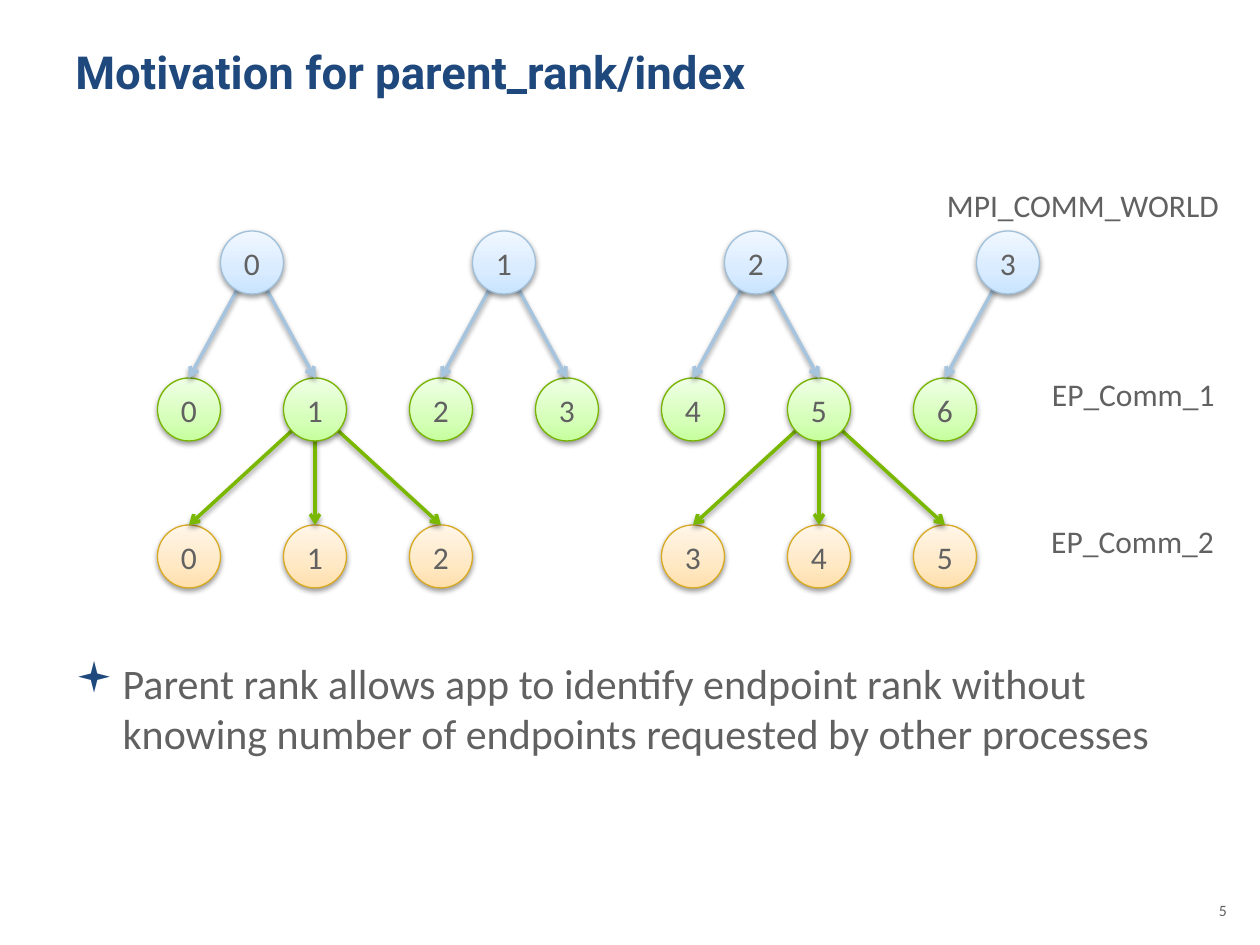
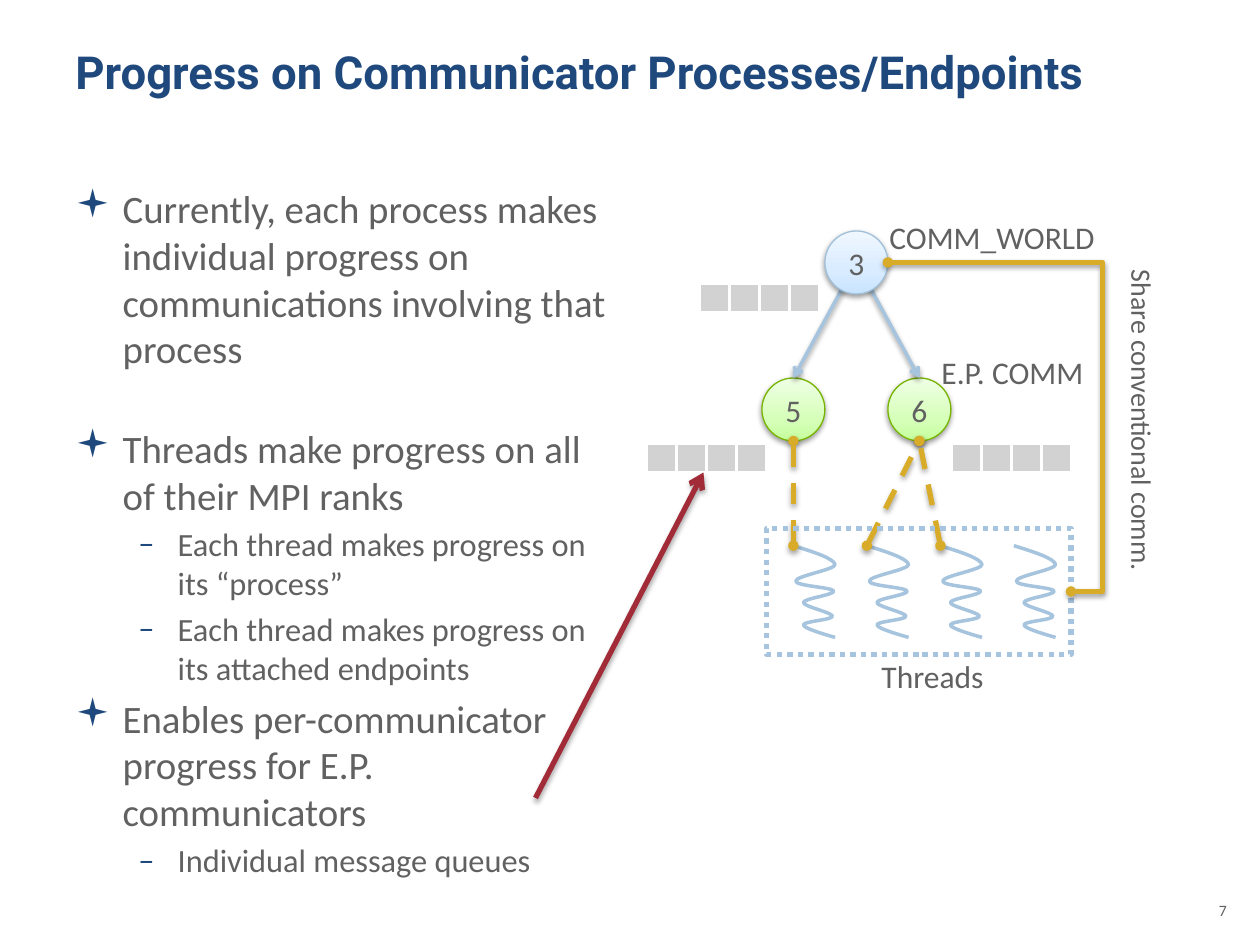
from dataclasses import dataclass

from lxml import etree
from pptx import Presentation
from pptx.dml.color import RGBColor
from pptx.enum.dml import MSO_LINE
from pptx.enum.shapes import MSO_CONNECTOR, MSO_SHAPE
from pptx.enum.text import MSO_ANCHOR, MSO_AUTO_SIZE, PP_ALIGN
from pptx.oxml.ns import qn
from pptx.util import Pt

NAVY, GREY, WHITE, CELL = "1F497D", "616161", "FFFFFF", "D2D2D2"
BLUE, GREEN, GOLD, RED = "A6C4DE", "7AB800", "D8AC28", "A22B38"
NODE, COLUMN = 36, 72
WORLD_Y, EP1_Y, EP2_Y = 150, 234, 318
THREAD_LEFT, THREAD_TOP, THREAD_GAP = 453.4, 311.8, 42
WAVE = [
    (0, 0), (11.5, 3.6), (23, 7.2), (23.8, 10.8),
    (23.8, 13.7), (1.4, 17.3), (1.4, 20.2),
    (0.7, 23), (22.3, 23.8), (23, 25.9),
    (23.8, 28.1), (5.8, 30.2), (5.8, 32.4),
    (5, 34.6), (22.3, 38.2), (22.3, 40.3),
    (22.3, 42.5), (5, 43.2), (5.8, 45.4),
    (5.8, 47.5), (23.8, 52.4), (23.8, 52.4),
]


@dataclass(frozen=True)
class NodeStyle:
    """Gradient, bottom to top, and outline of a rank circle."""

    stops: tuple[str, str, str]
    line: str


@dataclass(frozen=True)
class Node:
    """A rank circle given by its centre."""

    label: str
    x: float
    y: float
    style: NodeStyle


@dataclass(frozen=True)
class Bullet:
    """Bullet mark and its font, with text margin and hanging indent."""

    mark: str
    font: str
    margin: float
    hang: float


WORLD = NodeStyle(("C9E4FF", "D8EBFF", "F0F7FF"), "A1C0DA")
EP1 = NodeStyle(("C6FF9D", "D6FFBA", "EFFFE5"), "77B400")
EP2 = NodeStyle(("FFDFAB", "FFE8C4", "FFF6E9"), "D8AA23")
MAIN = Bullet("▪", "Wingdings", 27, 27)
SUB = Bullet("–", "Calibri", 58.5, 22.5)


def rgb(color: str) -> RGBColor:
    """Turn a hex string into a colour."""
    return RGBColor.from_string(color)


def child(parent, tag: str, **attrs):
    """Append a drawing element with attributes."""
    return etree.SubElement(parent, qn(tag), {k: str(v) for k, v in attrs.items()})


def add_shadow(sp, alpha: int = 38, dist: float = 1.6) -> None:
    """Give a shape or connector a soft shadow below it."""
    effects = child(sp._element.spPr, "a:effectLst")
    shadow = child(effects, "a:outerShdw", blurRad=Pt(3.1), dist=Pt(dist),
                   dir=5400000, rotWithShape=0)
    color = child(shadow, "a:srgbClr", val="000000")
    child(color, "a:alpha", val=alpha * 1000)


def write(tf, text: str, *, size: float = 18, font: str = "Calibri",
          color: str = GREY, bold: bool = False, align=None,
          before: float = 0, bullet: Bullet | None = None) -> None:
    """Write one formatted paragraph into a text frame."""
    p = tf.paragraphs[0] if not tf.text else tf.add_paragraph()
    p.alignment = align
    p.space_before = Pt(before)
    if bullet:
        pPr = p._p.get_or_add_pPr()
        pPr.set("marL", str(Pt(bullet.margin)))
        pPr.set("indent", str(-Pt(bullet.hang)))
        child(child(pPr, "a:buClr"), "a:srgbClr", val=NAVY)
        child(pPr, "a:buFont", typeface=bullet.font)
        child(pPr, "a:buChar", char=bullet.mark)
    r = p.add_run()
    r.text = text
    r.font.size, r.font.name, r.font.bold = Pt(size), font, bold
    r.font.color.rgb = rgb(color)


def add_box(s, x: float, y: float, w: float, h: float, wrap: bool = True):
    """Add an empty text box."""
    sp = s.shapes.add_textbox(Pt(x), Pt(y), Pt(w), Pt(h))
    sp.text_frame.word_wrap = wrap
    if not wrap:
        sp.text_frame.auto_size = MSO_AUTO_SIZE.SHAPE_TO_FIT_TEXT
    return sp


def add_label(s, text: str, x: float, y: float, w: float) -> None:
    """Add a one-line diagram label."""
    write(add_box(s, x, y, w, 29, wrap=False).text_frame, text)


def add_slide(prs, title: str, number: int):
    """Add a blank slide with its title and page number."""
    s = prs.slides.add_slide(prs.slide_layouts[6])
    write(add_box(s, 36, 21.6, 648, 74).text_frame, title,
          size=26, font="Roboto", color=NAVY, bold=True)
    write(add_box(s, 678, 511.2, 30.2, 28.8).text_frame, str(number),
          size=9, align=PP_ALIGN.RIGHT)
    return s


def add_node(s, node: Node) -> None:
    """Draw a numbered rank circle."""
    sp = s.shapes.add_shape(MSO_SHAPE.OVAL, Pt(node.x - NODE / 2),
                            Pt(node.y - NODE / 2), Pt(NODE), Pt(NODE))
    sp.fill.gradient()
    sp.fill.gradient_angle = 90
    stops = sp._element.spPr.find(qn("a:gradFill")).find(qn("a:gsLst"))
    for old in list(stops):
        stops.remove(old)
    for pos, color in zip((0, 35, 100), node.style.stops):
        child(child(stops, "a:gs", pos=pos * 1000), "a:srgbClr", val=color)
    sp.line.color.rgb = rgb(node.style.line)
    sp.line.width = Pt(0.75)
    add_shadow(sp)
    tf = sp.text_frame
    tf.margin_left = tf.margin_right = 0
    tf.vertical_anchor = MSO_ANCHOR.MIDDLE
    write(tf, node.label, align=PP_ALIGN.CENTER)


def add_line(s, start: tuple[float, float], end: tuple[float, float], color: str,
             *, width: float = 3, dots: bool = False, dash=None,
             kind=MSO_CONNECTOR.STRAIGHT, alpha: int = 35, dist: float = 1.8):
    """Draw a shadowed connector with an arrow or with dots at both ends."""
    c = s.shapes.add_connector(kind, *(Pt(v) for v in (*start, *end)))
    c.line.color.rgb = rgb(color)
    c.line.width = Pt(width)
    if dash:
        c.line.dash_style = dash
    ln = c.line._get_or_add_ln()
    if dots:
        child(ln, "a:headEnd", type="oval", w="sm", len="sm")
        child(ln, "a:tailEnd", type="oval", w="sm", len="sm")
    else:
        child(ln, "a:tailEnd", type="arrow")
    add_shadow(c, alpha, dist)
    return c


def add_edges(s, pairs: list[tuple[Node, Node]], color: str) -> None:
    """Draw arrows from parent centres to the tops of their children."""
    for parent, kid in pairs:
        add_line(s, (parent.x, parent.y), (kid.x, kid.y - NODE / 2), color,
                 width=2, alpha=38, dist=1.6)


def add_nodes(s, nodes: list[Node]) -> None:
    """Draw a row of rank circles."""
    for node in nodes:
        add_node(s, node)


def add_thread(s, x: float, y: float) -> None:
    """Draw a wavy thread whose segments are cubic curves."""
    points = [(Pt(x + dx), Pt(y + dy)) for dx, dy in WAVE]
    builder = s.shapes.build_freeform(*points[0])
    builder.add_line_segments(points[1:], close=False)
    sp = builder.convert_to_shape()
    outline = next(sp._element.iter(qn("a:path")))
    lines = outline.findall(qn("a:lnTo"))
    for i in range(0, len(lines), 3):
        curve = child(outline, "a:cubicBezTo")
        for line in lines[i:i + 3]:
            curve.append(line[0])
            outline.remove(line)
    sp.shadow.inherit = False
    sp.fill.solid()
    sp.fill.fore_color.rgb = rgb(WHITE)
    sp.line.color.rgb = rgb(BLUE)
    sp.line.width = Pt(2)


def add_queue(s, x: float, y: float) -> None:
    """Draw a message queue as a four-cell table."""
    table = s.shapes.add_table(1, 4, Pt(x), Pt(y), Pt(68.8), Pt(16.6)).table
    table.first_row = table.horz_banding = False
    for column, cell in zip(table.columns, table.rows[0].cells):
        column.width = Pt(17.2)
        cell.margin_left = cell.margin_right = cell.margin_top = cell.margin_bottom = 0
        cell.fill.solid()
        cell.fill.fore_color.rgb = rgb(CELL)
        child(cell.text_frame.paragraphs[0]._p, "a:endParaRPr", sz=800)
        tcPr = cell._tc.get_or_add_tcPr()
        for i, side in enumerate("LRTB"):
            ln = child(tcPr, f"a:ln{side}", w=Pt(2.25))
            child(child(ln, "a:solidFill"), "a:srgbClr", val=WHITE)
            tcPr.insert(i, ln)


def build_motivation(prs) -> None:
    """Build the tree of ranks and endpoint communicators."""
    s = add_slide(prs, "Motivation for parent_rank/index", 5)
    write(add_box(s, 36, 372.2, 648, 110).text_frame,
          "Parent rank allows app to identify endpoint rank without knowing "
          "number of endpoints requested by other processes",
          size=24, before=4.8, bullet=MAIN)
    world = [Node(str(i), 144 + 2 * COLUMN * i, WORLD_Y, WORLD) for i in range(4)]
    first = [Node(str(i), 108 + COLUMN * i, EP1_Y, EP1) for i in range(7)]
    second = [Node(str(i), 108 + COLUMN * c, EP2_Y, EP2)
              for i, c in enumerate((0, 1, 2, 4, 5, 6))]
    add_nodes(s, second)
    add_edges(s, [(first[1 + 4 * (i // 3)], kid) for i, kid in enumerate(second)], GREEN)
    add_nodes(s, first)
    add_edges(s, [(world[i // 2], kid) for i, kid in enumerate(first)], BLUE)
    add_nodes(s, world)
    add_label(s, "MPI_COMM_WORLD", 534, 103, 171.4)
    add_label(s, "EP_Comm_1", 594, 211, 108.7)
    add_label(s, "EP_Comm_2", 593.6, 295, 108.7)


def build_progress(prs) -> None:
    """Build the progress bullets and the thread diagram."""
    s = add_slide(prs, "Progress on Communicator Processes/Endpoints", 7)
    tf = add_box(s, 36, 102.2, 324, 380).text_frame
    for text, bullet, before in (
        ("Currently, each process makes individual progress on communications "
         "involving that process", MAIN, 4.4),
        ("Threads make progress on all of their MPI ranks", MAIN, 30.4),
        ("Each thread makes progress on its “process”", SUB, 3.7),
        ("Each thread makes progress on its attached endpoints", SUB, 3.7),
        ("Enables per-communicator progress for E.P. communicators", MAIN, 4.4),
        ("Individual message queues", SUB, 3.7),
    ):
        write(tf, text, size=22.2 if bullet is MAIN else 18.5,
              before=before, bullet=bullet)

    root = Node("3", 489.4, WORLD_Y, WORLD)
    kids = [Node(n, root.x + dx, EP1_Y, EP1) for n, dx in (("5", -36), ("6", 36))]
    add_nodes(s, kids)
    add_edges(s, [(root, kid) for kid in kids], BLUE)
    add_node(s, root)

    tops = [THREAD_LEFT + THREAD_GAP * i for i in range(4)]
    for x in tops:
        add_thread(s, x, THREAD_TOP)
    for x, kid in zip(tops, (kids[0], kids[1], kids[1])):
        add_line(s, (x, THREAD_TOP), (kid.x, kid.y + NODE / 2), GOLD,
                 dots=True, dash=MSO_LINE.DASH)

    add_label(s, "Threads", 496.6, 372, 73.4)
    side = add_box(s, 556.6, 226.8, 192.2, 26.6, wrap=False)
    side.rotation = 90
    write(side.text_frame, "Share conventional comm.", size=16, align=PP_ALIGN.CENTER)
    add_label(s, "COMM_WORLD", 501.2, 121, 133.2)
    add_label(s, "E.P. COMM", 530.9, 198, 96.5)

    for x, y in ((369.4, 253.4), (399.6, 162), (543.6, 253.4)):
        add_queue(s, x, y)
    add_line(s, (306, 456), (402, 270), RED)

    frame = s.shapes.add_shape(MSO_SHAPE.RECTANGLE, Pt(438), Pt(302), Pt(174), Pt(72))
    frame.shadow.inherit = False
    frame.fill.background()
    frame.line.color.rgb = rgb(BLUE)
    frame.line.width = Pt(3)
    frame.line.dash_style = MSO_LINE.ROUND_DOT

    bent = add_line(s, (root.x + NODE / 2, root.y), (612, 338), GOLD, dots=True,
                    kind=MSO_CONNECTOR.ELBOW, alpha=38, dist=1.6)
    geometry = bent._element.spPr.find(qn("a:prstGeom"))
    for old in list(geometry):
        geometry.remove(old)
    child(child(geometry, "a:avLst"), "a:gd", name="adj1", fmla="val 117200")


def main() -> None:
    """Build and save the presentation."""
    prs = Presentation()
    prs.slide_width, prs.slide_height = Pt(720), Pt(540)
    build_motivation(prs)
    build_progress(prs)
    prs.save("out.pptx")


main()
